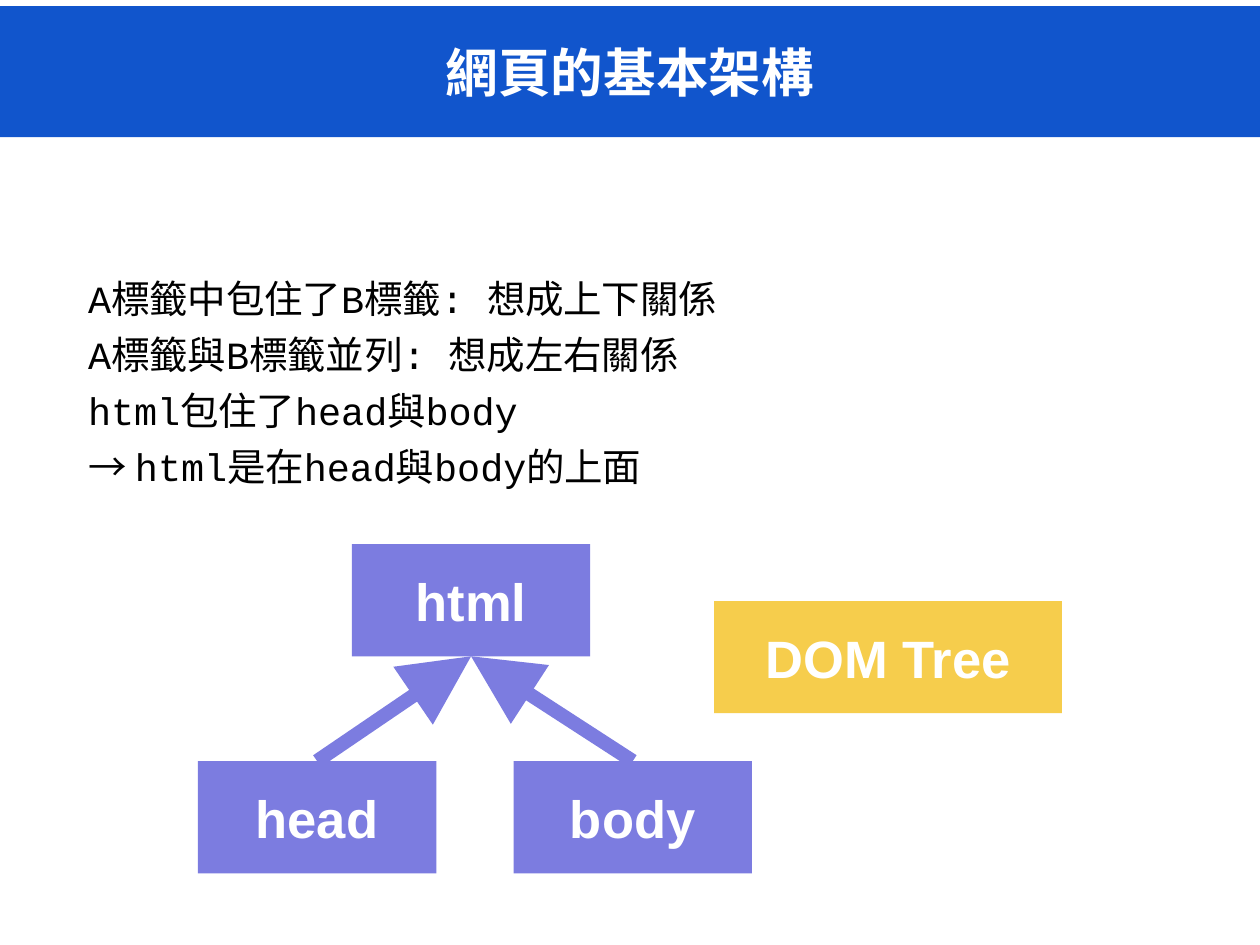
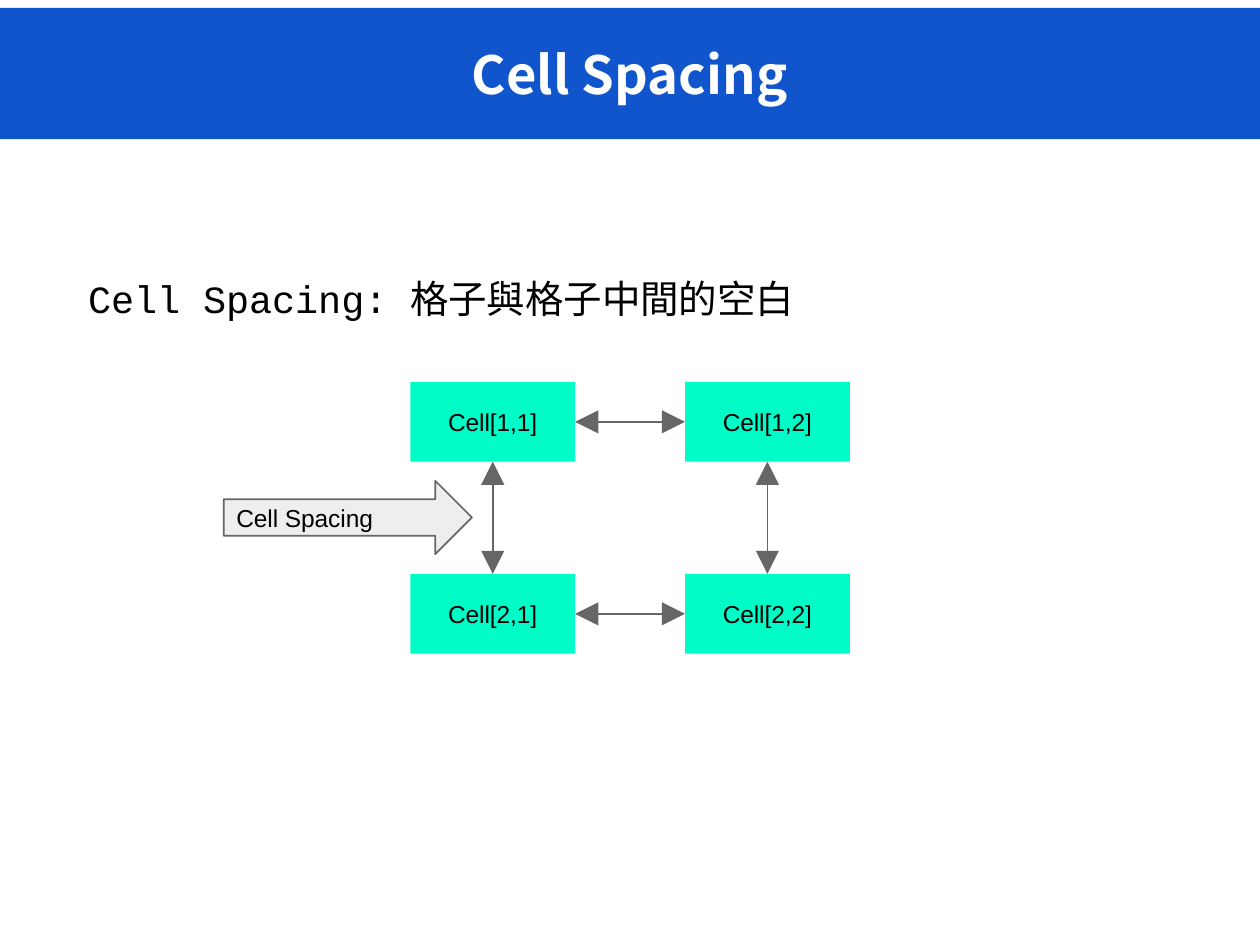
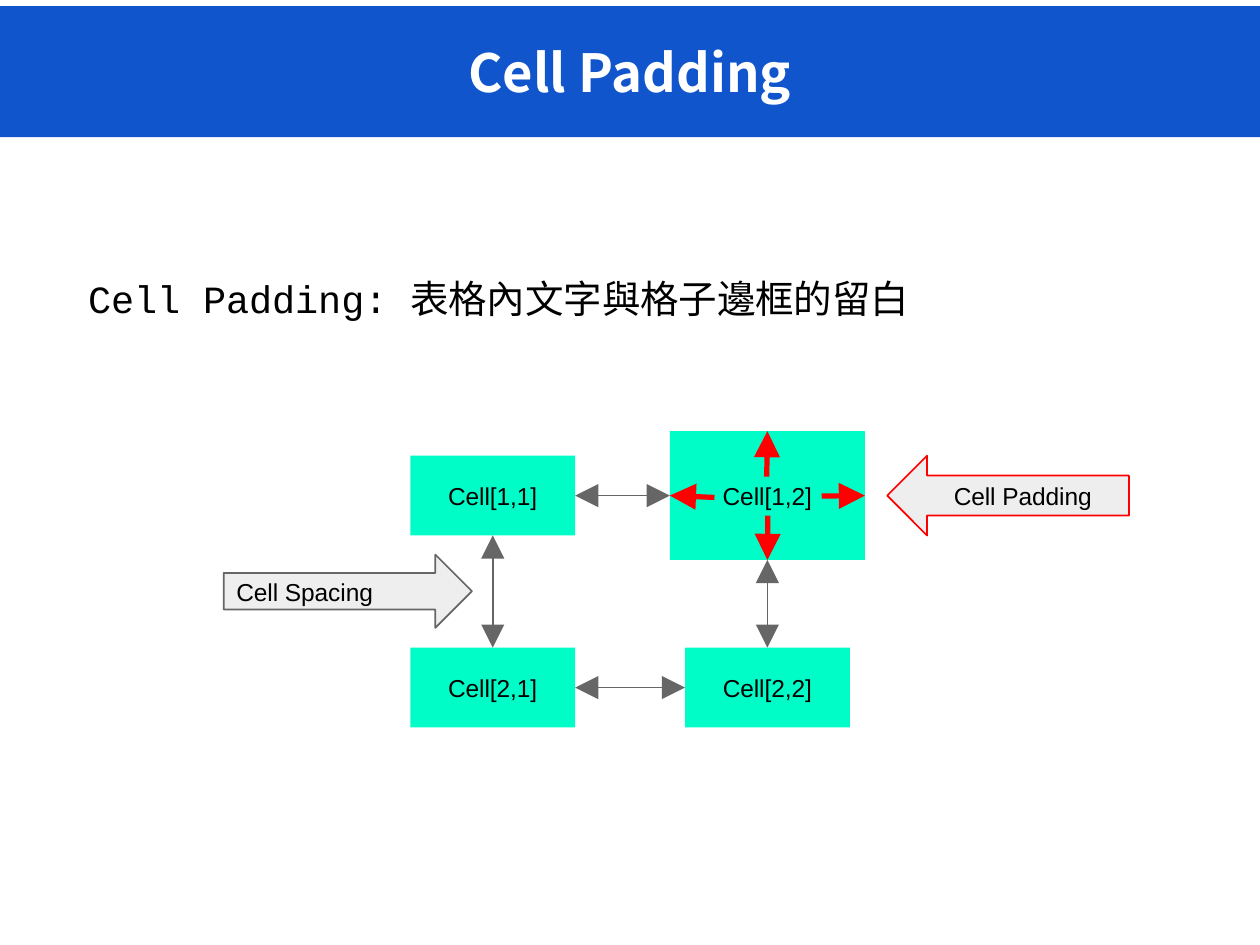
import dataclasses

import pptx
import pptx.dml.color
import pptx.enum.shapes
import pptx.enum.text
import pptx.oxml
import pptx.oxml.ns
import pptx.util

Pt = pptx.util.Pt
Preset = pptx.enum.shapes.MSO_SHAPE
Align = pptx.enum.text.PP_ALIGN
Anchor = pptx.enum.text.MSO_ANCHOR

TOP, LEFT, BOTTOM, RIGHT = range(4)  # connection sites of a rectangle


@dataclasses.dataclass(frozen=True)
class TextStyle:
    latin: str
    east_asian: str
    size: float
    colour: str
    bold: bool = False


@dataclasses.dataclass(frozen=True)
class Theme:
    band: str = "1155CC"
    node: str = "7C7CE0"
    highlight: str = "F6CD4C"
    cell: str = "00FDC8"
    callout: str = "EEEEEE"
    spacing: str = "666666"
    padding: str = "FF0000"
    inset: float = 5.4
    thin: float = 0.75
    medium: float = 2.25
    thick: float = 6
    title: TextStyle = TextStyle("Noto Sans CJK TC", "Noto Sans CJK TC", 22.5, "FFFFFF", True)
    body: TextStyle = TextStyle("Courier New", "Noto Sans CJK TC", 16.5, "000000")
    symbol: TextStyle = TextStyle("Noto Sans CJK JP", "Noto Sans CJK JP", 16.5, "000000")
    node_label: TextStyle = TextStyle("Arial", "Noto Sans CJK TC", 22.5, "FFFFFF", True)
    cell_label: TextStyle = TextStyle("Arial", "Noto Sans CJK TC", 10.5, "000000")


THEME = Theme()

CELL_WIDTH, CELL_HEIGHT = 70.6, 34.2
COLUMN_PITCH, ROW_PITCH = 117.7, 82.3
GRID_LEFT = 175.9
NODE_WIDTH, NODE_HEIGHT = 102.2, 48.1


def rgb(colour):
    return pptx.dml.color.RGBColor.from_string(colour)


def add_run(paragraph, text, style):
    run = paragraph.add_run()
    run.text = text
    font_values = {"name": style.latin, "size": Pt(style.size), "bold": style.bold}
    for attribute, value in font_values.items():
        setattr(run.font, attribute, value)
    run.font.color.rgb = rgb(style.colour)
    east_asian = pptx.oxml.parse_xml(
        f'<a:ea {pptx.oxml.ns.nsdecls("a")} typeface="{style.east_asian}"/>')
    run.font._element.find(pptx.oxml.ns.qn("a:latin")).addnext(east_asian)


def format_frame(frame, anchor, left_inset=THEME.inset):
    frame_values = {
        "word_wrap": True,
        "vertical_anchor": anchor,
        "margin_left": Pt(left_inset),
        "margin_top": Pt(THEME.inset),
        "margin_right": Pt(THEME.inset),
        "margin_bottom": Pt(THEME.inset),
    }
    for attribute, value in frame_values.items():
        setattr(frame, attribute, value)


def add_label_shape(slide, preset, box, text, style, fill, outline=None,
                    align=Align.CENTER, left_inset=THEME.inset):
    shape = slide.shapes.add_shape(preset, *map(Pt, box))
    shape.shadow.inherit = False
    shape.fill.solid()
    shape.fill.fore_color.rgb = rgb(fill)
    if outline:
        shape.line.color.rgb = rgb(outline)
        shape.line.width = Pt(THEME.thin)
    else:
        shape.line.fill.background()
    format_frame(shape.text_frame, Anchor.MIDDLE, left_inset)
    paragraph = shape.text_frame.paragraphs[0]
    paragraph.alignment = align
    add_run(paragraph, text, style)
    return shape


def add_arrow(slide, start, end, colour, width, double=False):
    """Each end is a point (x, y) or a pair of shape and connection site."""
    points = [(0, 0) if hasattr(place[0], "shape_id") else place for place in (start, end)]
    arrow = slide.shapes.add_connector(
        pptx.enum.shapes.MSO_CONNECTOR.STRAIGHT,
        *(Pt(length) for point in points for length in point))
    for place, connect in ((start, arrow.begin_connect), (end, arrow.end_connect)):
        if hasattr(place[0], "shape_id"):
            connect(*place)
    arrow.line.color.rgb = rgb(colour)
    arrow.line.width = Pt(width)
    namespace = pptx.oxml.ns.nsdecls("a")
    for tag in ("headEnd", "tailEnd") if double else ("tailEnd",):
        arrow.line._get_or_add_ln().append(pptx.oxml.parse_xml(
            f'<a:{tag} {namespace} type="triangle" w="lg" len="lg"/>'))
    arrow._element.spPr.append(pptx.oxml.parse_xml(f"<a:effectLst {namespace}/>"))


def add_body(slide, lines):
    """Each line is a list of (text, style) runs."""
    frame = slide.shapes.add_textbox(Pt(18.8), Pt(114.7), Pt(503.3), Pt(231)).text_frame
    format_frame(frame, Anchor.TOP)
    for index, runs in enumerate(lines):
        paragraph = frame.paragraphs[0] if index == 0 else frame.add_paragraph()
        properties = paragraph._p.get_or_add_pPr()
        properties.set("marL", str(Pt(27)))
        properties.set("indent", str(Pt(-13.5)))
        paragraph.line_spacing = 0.9
        paragraph.space_after = Pt(6.2)
        for text, style in runs:
            add_run(paragraph, text, style)


def add_titled_slide(deck, title, lines, band_top=2.6):
    slide = deck.slides.add_slide(deck.slide_layouts[6])
    add_label_shape(slide, Preset.RECTANGLE, (0, band_top, 540, 56.2),
                    title, THEME.title, THEME.band)
    add_body(slide, lines)
    return slide


def add_cell_grid(slide, top, enlarged=None):
    """Draws the 2 by 2 cells with their gaps; one cell may be enlarged about its centre."""
    cells = {}
    for row in (1, 2):
        for column in (1, 2):
            grow_x, grow_y = (13, 21) if (row, column) == enlarged else (0, 0)
            box = (GRID_LEFT + (column - 1) * COLUMN_PITCH - grow_x / 2,
                   top + (row - 1) * ROW_PITCH - grow_y / 2,
                   CELL_WIDTH + grow_x, CELL_HEIGHT + grow_y)
            cells[row, column] = add_label_shape(
                slide, Preset.RECTANGLE, box, f"Cell[{row},{column}]",
                THEME.cell_label, THEME.cell)
    for index in (1, 2):
        gaps = (((cells[1, index], BOTTOM), (cells[2, index], TOP)),
                ((cells[index, 1], RIGHT), (cells[index, 2], LEFT)))
        for start, end in gaps:
            add_arrow(slide, start, end, THEME.spacing, THEME.thin, double=True)
    add_label_shape(slide, Preset.RIGHT_ARROW, (95.9, top + 42.4, 106.4, 31.4),
                    "Cell Spacing", THEME.cell_label, THEME.callout,
                    THEME.spacing, Align.LEFT)
    return cells


def build_dom_tree(deck):
    slide = add_titled_slide(deck, "網頁的基本架構", [
        [("A標籤中包住了B標籤: 想成上下關係", THEME.body)],
        [("A標籤與B標籤並列: 想成左右關係", THEME.body)],
        [("html包住了head與body", THEME.body)],
        [("→ ", THEME.symbol), ("html是在head與body的上面", THEME.body)],
    ])
    nodes = {
        name: add_label_shape(slide, Preset.RECTANGLE, (left, top, NODE_WIDTH, NODE_HEIGHT),
                              name, THEME.node_label, THEME.node)
        for name, left, top in (("html", 150.8, 233.2), ("body", 220.1, 326.2),
                                ("head", 84.8, 326.2))
    }
    for child in ("head", "body"):
        add_arrow(slide, (nodes[child], TOP), (nodes["html"], BOTTOM), THEME.node, THEME.thick)
    add_label_shape(slide, Preset.RECTANGLE, (306.1, 257.6, 149, NODE_HEIGHT),
                    "DOM Tree", THEME.node_label, THEME.highlight)


def build_cell_spacing(deck):
    slide = add_titled_slide(
        deck, "Cell Spacing", [[("Cell Spacing: 格子與格子中間的空白", THEME.body)]], band_top=3.4)
    add_cell_grid(slide, 163.7)


def build_cell_padding(deck):
    slide = add_titled_slide(
        deck, "Cell Padding", [[("Cell Padding: 表格內文字與格子邊框的留白", THEME.body)]])
    grid_top = 195.3
    padded = (1, 2)
    padded_cell = add_cell_grid(slide, grid_top, enlarged=padded)[padded]
    label_edges = {TOP: (328.6, 204.3), BOTTOM: (329.1, 221),
                   RIGHT: (352.2, 212.6), LEFT: (306.2, 213.2)}
    for side, edge in label_edges.items():
        add_arrow(slide, edge, (padded_cell, side), THEME.padding, THEME.medium)
    add_label_shape(slide, Preset.LEFT_ARROW, (380.2, grid_top, 103.6, CELL_HEIGHT),
                    "Cell Padding", THEME.cell_label, THEME.callout,
                    THEME.padding, Align.LEFT, left_inset=20)


def main():
    deck = pptx.Presentation()
    deck.slide_width, deck.slide_height = Pt(540), Pt(405)
    build_dom_tree(deck)
    build_cell_spacing(deck)
    build_cell_padding(deck)
    deck.save("out.pptx")


if __name__ == "__main__":
    main()
